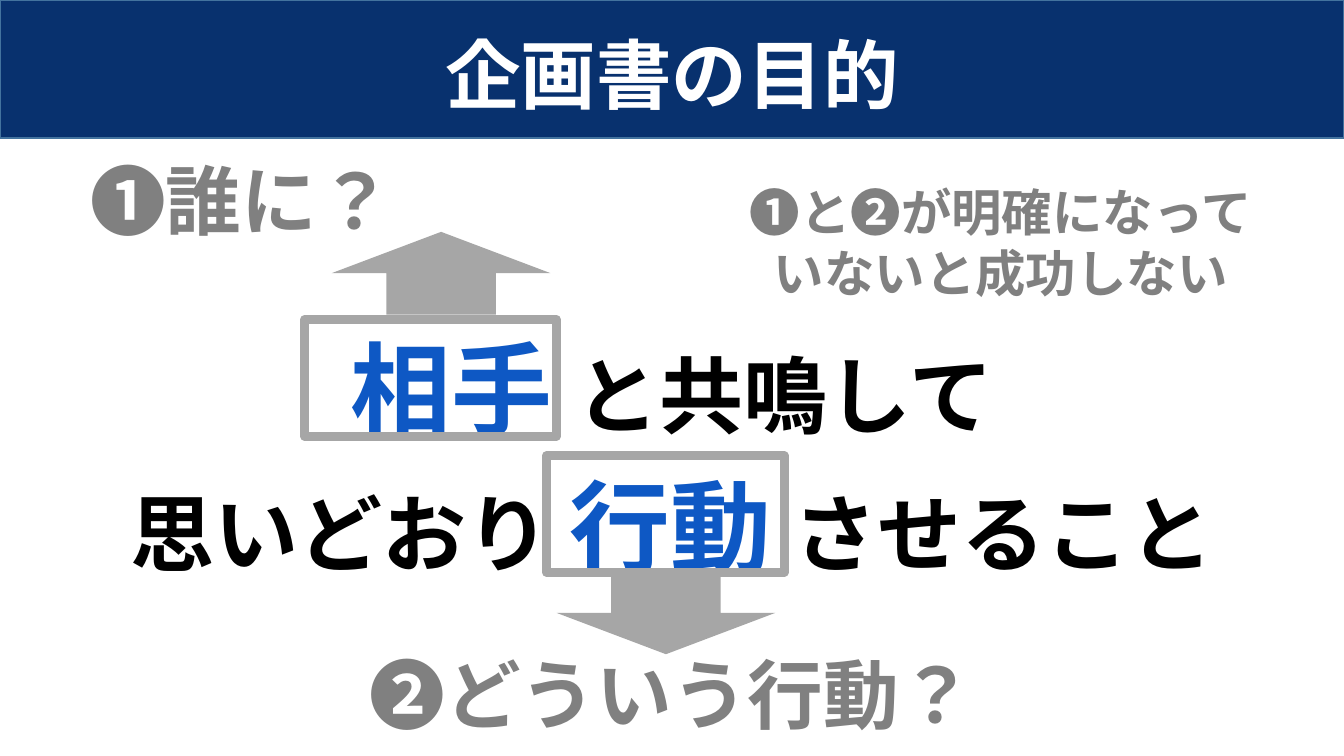
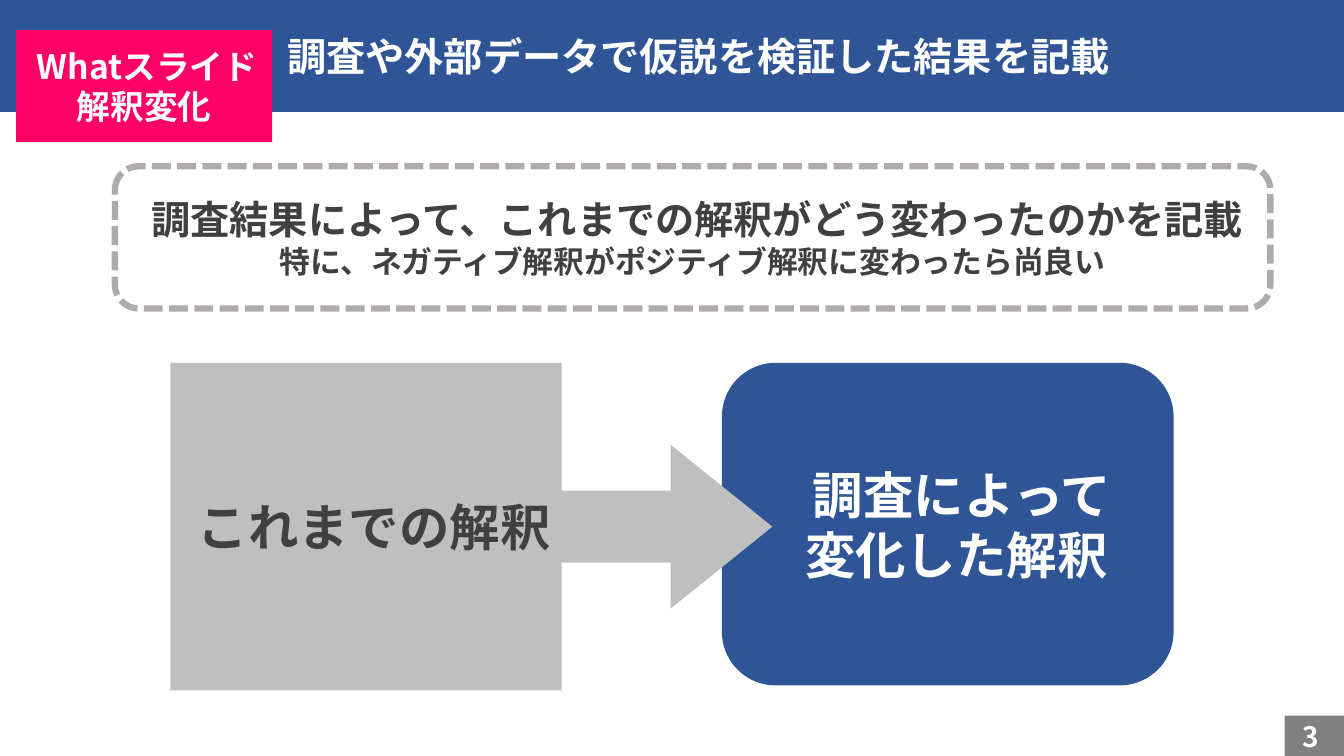
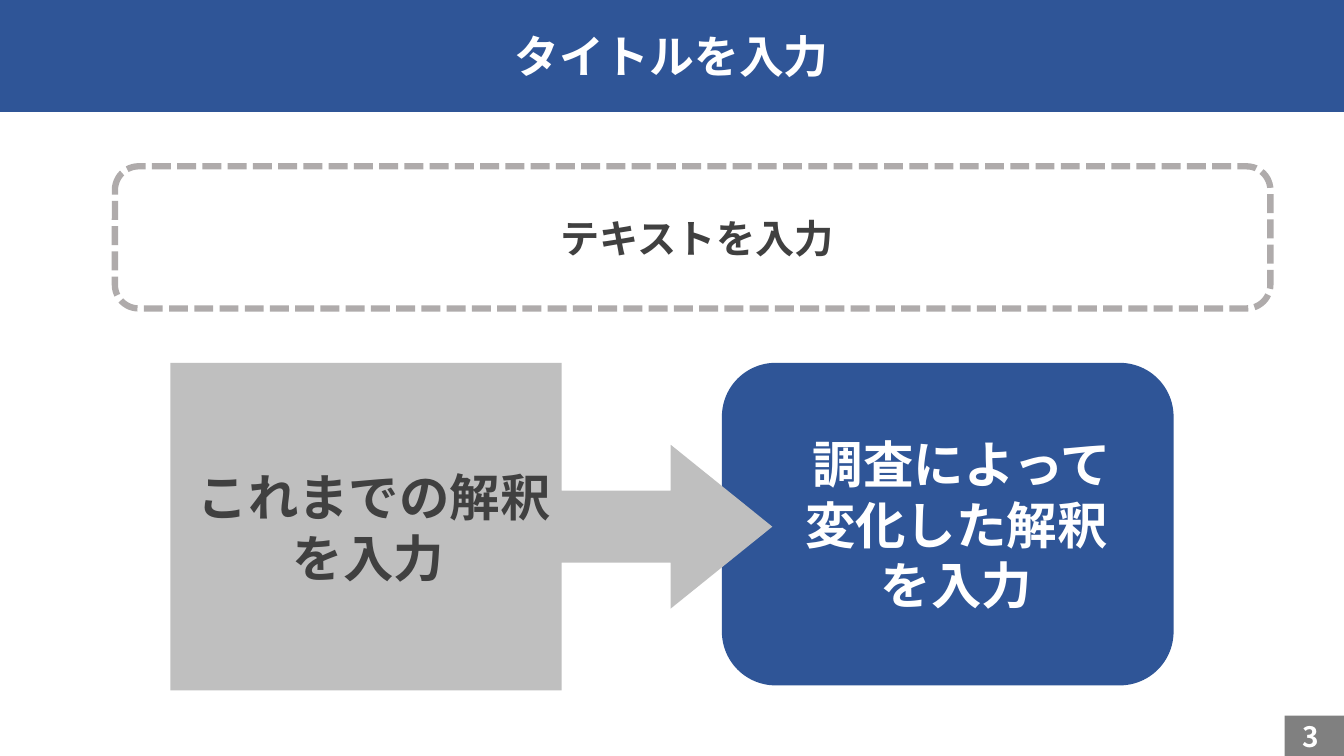
import pptx
import pptx.dml.color
import pptx.enum.dml
import pptx.enum.lang
import pptx.enum.shapes
import pptx.enum.text
import pptx.oxml
import pptx.oxml.ns
import pptx.util

PX = 9144  # 100 px to the inch
FONT = "Noto Sans CJK JP"
COLORS = {
    "navy": "08316E", "navy_edge": "43739E", "blue": "2F5597", "accent": "0E58C4",
    "pink": "FF0066", "white": "FFFFFF", "black": "000000", "ink": "404040",
    "gray": "808080", "mid_gray": "A6A6A6", "dash_gray": "AFABAB", "light_gray": "BFBFBF",
}
SHAPES = pptx.enum.shapes.MSO_SHAPE
ANCHORS = pptx.enum.text.MSO_ANCHOR
ALIGNS = pptx.enum.text.PP_ALIGN


def rgb(name):
    return pptx.dml.color.RGBColor.from_string(COLORS[name])


def write_text(shape, text, size=36, color="white", align=ALIGNS.CENTER,
               anchor=ANCHORS.MIDDLE, insets=(10, 5, 10, 5), space_after=0):
    """Text is a string with one paragraph a line, or lists of (text, size, color) runs."""
    if isinstance(text, str):
        text = [[(line, size, color)] for line in text.split("\n")]
    frame = shape.text_frame
    frame.word_wrap = True
    frame.auto_size = pptx.enum.text.MSO_AUTO_SIZE.NONE
    frame.vertical_anchor = anchor
    (frame.margin_left, frame.margin_top,
     frame.margin_right, frame.margin_bottom) = [inset * PX for inset in insets]
    for index, runs in enumerate(text):
        paragraph = frame.add_paragraph() if index else frame.paragraphs[0]
        paragraph.alignment = align
        paragraph.space_after = pptx.util.Pt(space_after)
        for run_text, run_size, run_color in runs:
            run = paragraph.add_run()
            run.text = run_text
            run.font.size = pptx.util.Pt(run_size)
            run.font.bold = True
            run.font.color.rgb = rgb(run_color)
            run.font.name = FONT
            run.font.language_id = pptx.enum.lang.MSO_LANGUAGE_ID.JAPANESE
            east_asian = pptx.oxml.parse_xml(
                f'<a:ea {pptx.oxml.ns.nsdecls("a")} typeface="{FONT}"/>')
            run.font._element.find(pptx.oxml.ns.qn("a:latin")).addnext(east_asian)


def add_box(slide, box, kind=SHAPES.RECTANGLE, fill=None, line=None, width=1, **text_format):
    """Add a preset shape; kind None gives a text box and kind "title" the title placeholder."""
    lengths = [length * PX for length in box]
    if kind == "title":
        shape = slide.shapes.title
        shape.left, shape.top, shape.width, shape.height = lengths
    elif kind is None:
        shape = slide.shapes.add_textbox(*lengths)
    else:
        shape = slide.shapes.add_shape(kind, *lengths)
        shape.shadow.inherit = False
    if fill:
        shape.fill.solid()
        shape.fill.fore_color.rgb = rgb(fill)
    else:
        shape.fill.background()
    if line:
        shape.line.color.rgb = rgb(line)
        shape.line.width = pptx.util.Pt(width)
    else:
        shape.line.fill.background()
    if text_format:
        write_text(shape, **text_format)
    return shape


presentation = pptx.Presentation()
presentation.slide_width = 1333 * PX
presentation.slide_height = 750 * PX
title_only = presentation.slide_layouts[5]

# Slide 1: purpose of a proposal
slide = presentation.slides.add_slide(title_only)
add_box(slide, (0, 0, 1333, 137), "title", fill="navy", line="navy_edge",
        text="企画書の目的", size=54, insets=(10, 13, 10, 5))
wide_insets = (20, 16, 20, 16)
message = [
    [("相手 ", 72, "accent"), ("と共鳴して", 60, "black")],
    [("思いどおり ", 60, "black"), ("行動 ", 72, "accent"), ("させること", 60, "black")],
]
add_box(slide, (0, 308, 1333, 291), None, text=message, anchor=ANCHORS.TOP,
        insets=wide_insets, space_after=12)
for frame_box, arrow_box, arrow_kind in [
    ((302, 317, 250, 116), (329, 230, 217, 82), SHAPES.UP_ARROW),
    ((542, 452, 236, 116), (552, 567, 217, 82), SHAPES.DOWN_ARROW),
]:
    add_box(slide, frame_box, line="mid_gray", width=6)
    add_box(slide, arrow_box, arrow_kind, fill="mid_gray")
for note_box, note, note_size in [
    ((0, 137, 479, 123), "❶誰に？", 54),
    ((329, 627, 675, 123), "❷どういう行動？", 54),
    ((705, 164, 575, 153), "❶と❷が明確になっていないと成功しない", 36),
]:
    add_box(slide, note_box, None, text=note, size=note_size, color="gray",
            anchor=ANCHORS.TOP, insets=wide_insets, space_after=6)

# Slides 2 and 3: change of interpretation, explained and as a blank form
explained = {
    "title": {"text": "調査や外部データで仮説を検証した結果を記載", "size": 28,
              "align": ALIGNS.LEFT, "insets": (285, 5, 10, 5)},
    "summary": [[(" 調査結果によって、これまでの解釈がどう変わったのかを記載", 28, "ink")],
                [("特に、ネガティブ解釈がポジティブ解釈に変わったら尚良い", 22, "ink")]],
    "before": " これまでの解釈",
    "after": " 調査によって\n変化した解釈",
    "tag": [[(" ", 18, "white"), ("Whatスライド", 24, "white")],
            [("解釈変化", 24, "white")]],
}
blank_form = {
    "title": {"text": "タイトルを入力", "size": 32},
    "summary": [[(" テキストを入力", 28, "ink")]],
    "before": " これまでの解釈\nを入力",
    "after": " 調査によって\n変化した解釈\nを入力",
    "tag": None,
}
for content in (explained, blank_form):
    slide = presentation.slides.add_slide(title_only)
    add_box(slide, (0, 0, 1333, 111), "title", fill="blue", **content["title"])
    summary = add_box(slide, (114, 165, 1146, 141), SHAPES.ROUNDED_RECTANGLE,
                      line="dash_gray", width=4.5, text=content["summary"])
    summary.line.dash_style = pptx.enum.dml.MSO_LINE.SQUARE_DOT
    add_box(slide, (716, 360, 448, 320), SHAPES.ROUNDED_RECTANGLE, fill="blue",
            text=content["after"], insets=(27, 5, 10, 5))
    before = add_box(slide, (169, 360, 597, 325), SHAPES.RIGHT_ARROW_CALLOUT,
                     fill="light_gray", text=content["before"], color="ink",
                     insets=(10, 5, 5, 5))
    for index, adjustment in enumerate((0.22, 0.25, 0.31, 0.65)):
        before.adjustments[index] = adjustment
    add_box(slide, (1274, 710, 59, 40), fill="gray", text="3", size=20,
            insets=(0, 0, 7, 0))
    if content["tag"]:
        add_box(slide, (16, 30, 254, 111), fill="pink", text=content["tag"])

presentation.save("out.pptx")
